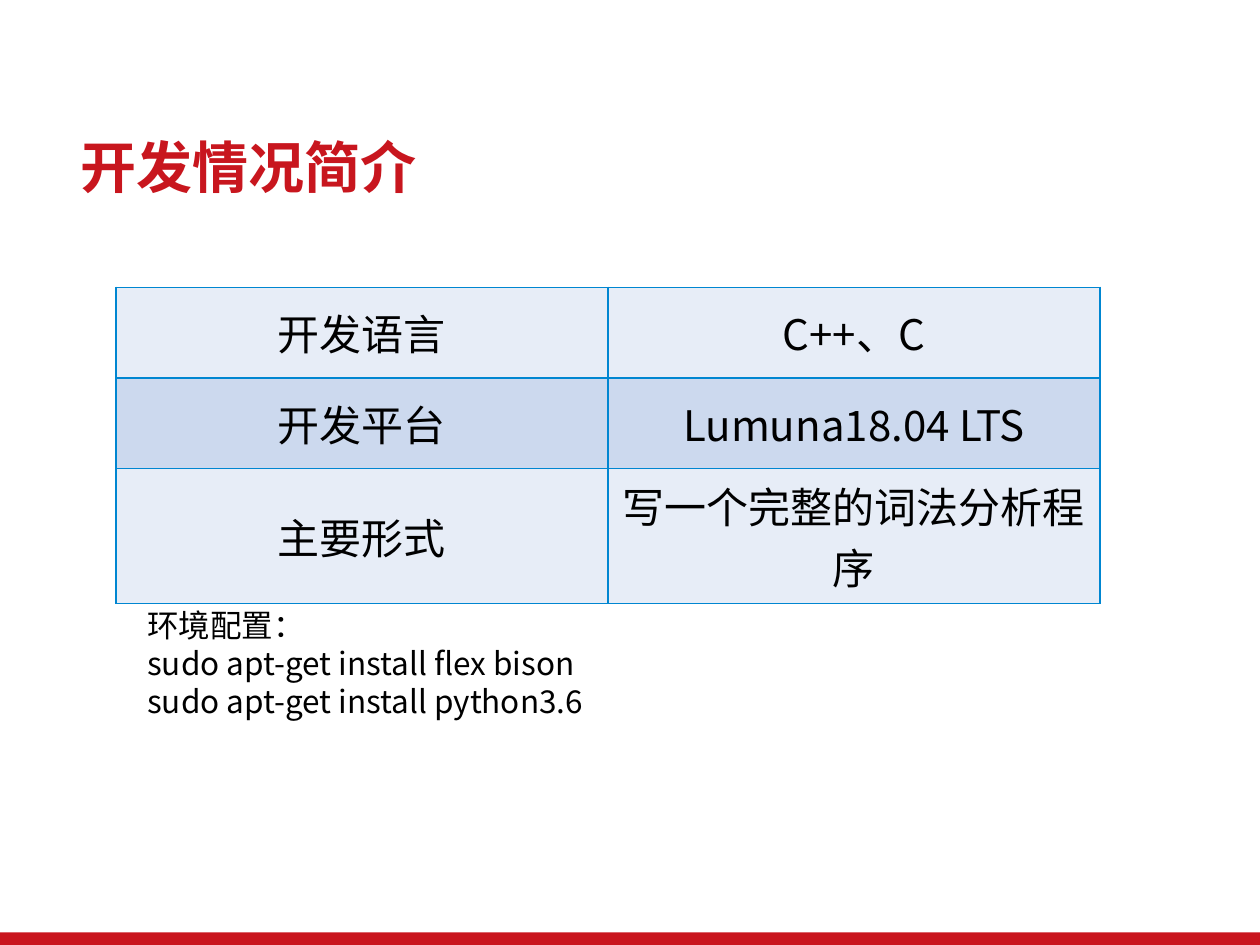
import pptx
import pptx.dml.color
import pptx.enum.shapes
import pptx.enum.text
import pptx.oxml
import pptx.oxml.ns
import pptx.util
from pptx.util import Inches

RGBColor = pptx.dml.color.RGBColor
RED = RGBColor(0xC9, 0x15, 0x1E)
TITLE_RED = RGBColor(0xC8, 0x16, 0x1E)
BLACK = RGBColor(0, 0, 0)
BORDER_BLUE = RGBColor(0x00, 0x86, 0xD1)
ROW_FILLS = (RGBColor(0xE7, 0xED, 0xF7), RGBColor(0xCC, 0xD9, 0xEE))

FONT = "Noto Sans CJK SC"
ALIGN = pptx.enum.text.PP_ALIGN
ANCHOR = pptx.enum.text.MSO_ANCHOR

FACTS = (
    ("开发语言", "C++、C"),
    ("开发平台", "Lumuna18.04 LTS"),
    ("主要形式", "写一个完整的词法分析程序"),
)
ROW_HEIGHTS = (0.72, 0.72, 1.07)  # the last row holds two lines
SETUP_LINES = (
    "环境配置：",
    "sudo apt-get install flex bison",
    "sudo apt-get install python3.6",
)


def write_text(frame, *lines, size, color=BLACK, bold=False,
               align=ALIGN.LEFT, spacing=None):
    """Fill a text frame with one paragraph per line."""
    for index, line in enumerate(lines):
        para = frame.add_paragraph() if index else frame.paragraphs[0]
        para.alignment = align
        para.line_spacing = spacing
        span = para.add_run()
        span.text = line
        span.font.name = FONT
        span.font.size = pptx.util.Pt(size)
        span.font.bold = bold
        span.font.color.rgb = color
        east_asian = pptx.oxml.parse_xml(
            f'<a:ea {pptx.oxml.ns.nsdecls("a")} typeface="{FONT}"/>')
        span.font._element.find(pptx.oxml.ns.qn("a:latin")).addnext(east_asian)


def add_text(page, left, top, width, height, *lines,
             anchor=ANCHOR.TOP, **style):
    box = page.shapes.add_textbox(
        Inches(left), Inches(top), Inches(width), Inches(height))
    box.text_frame.word_wrap = True
    box.text_frame.vertical_anchor = anchor
    write_text(box.text_frame, *lines, **style)


def set_borders(cell):
    properties = cell._tc.get_or_add_tcPr()
    for index, side in enumerate(("lnL", "lnR", "lnT", "lnB")):
        properties.insert(index, pptx.oxml.parse_xml(
            f'<a:{side} {pptx.oxml.ns.nsdecls("a")} w="12700"><a:solidFill>'
            f'<a:srgbClr val="{BORDER_BLUE}"/></a:solidFill></a:{side}>'))


def add_facts_table(page):
    table = page.shapes.add_table(
        len(FACTS), 2, Inches(0.92), Inches(2.28),
        Inches(7.81), Inches(sum(ROW_HEIGHTS))).table
    for row, (facts, height) in enumerate(zip(FACTS, ROW_HEIGHTS)):
        table.rows[row].height = Inches(height)
        for column, fact in enumerate(facts):
            cell = table.cell(row, column)
            cell.fill.solid()
            cell.fill.fore_color.rgb = ROW_FILLS[row % 2]
            cell.vertical_anchor = ANCHOR.MIDDLE
            write_text(cell.text_frame, fact, size=24, align=ALIGN.CENTER)
            set_borders(cell)


def add_footer_bar(page):
    bar = page.shapes.add_shape(
        pptx.enum.shapes.MSO_SHAPE.RECTANGLE,
        Inches(0), Inches(7.4), Inches(10), Inches(0.1))
    bar.shadow.inherit = False
    bar.fill.solid()
    bar.fill.fore_color.rgb = RED
    bar.line.fill.background()


def main():
    deck = pptx.Presentation()
    deck.slide_width, deck.slide_height = Inches(10), Inches(7.5)
    page = deck.slides.add_slide(deck.slide_layouts[6])
    add_footer_bar(page)
    add_text(page, 0.54, 1.04, 9.16, 0.63, "开发情况简介", size=32,
             color=TITLE_RED, bold=True, spacing=0.9, anchor=ANCHOR.MIDDLE)
    add_facts_table(page)
    add_text(page, 1.07, 4.76, 6.84, 1.01, *SETUP_LINES, size=18)
    deck.save("out.pptx")


if __name__ == "__main__":
    main()
